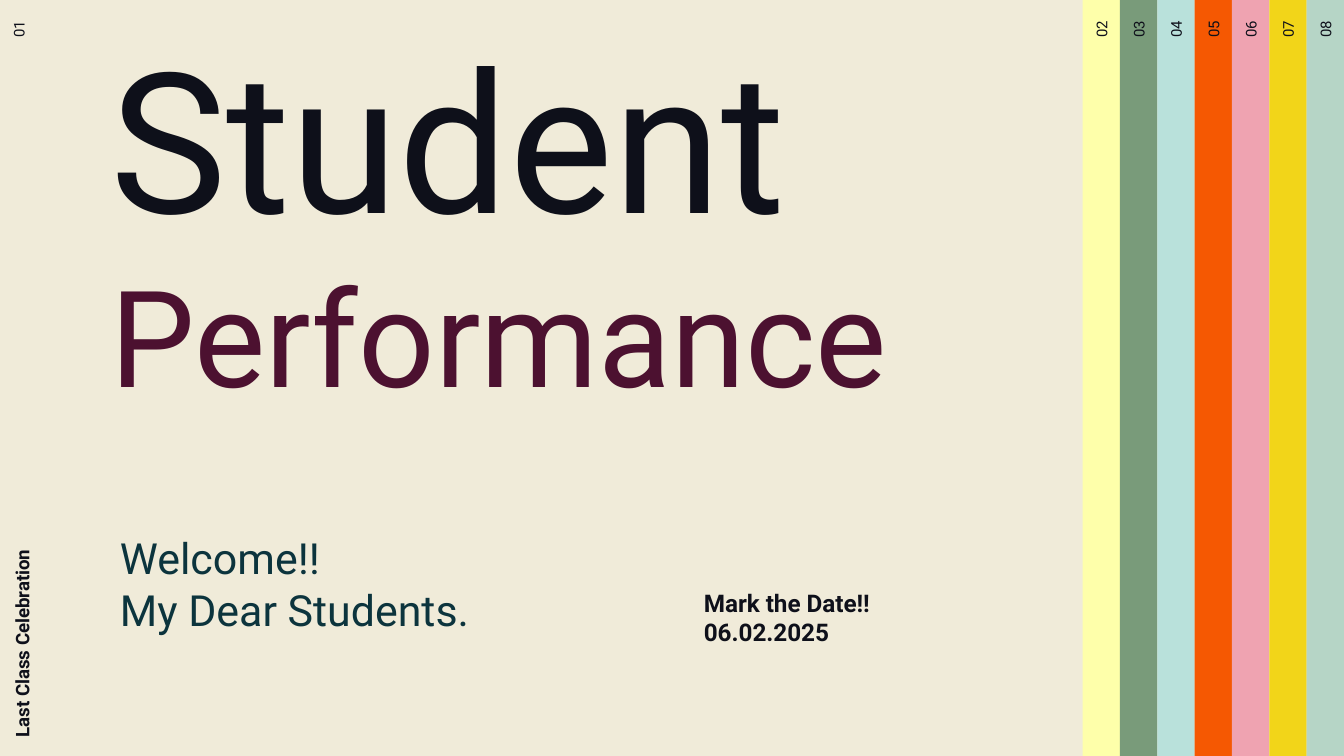
from pptx import Presentation
from pptx.dml.color import RGBColor
from pptx.enum.shapes import MSO_SHAPE as Shape
from pptx.enum.text import MSO_ANCHOR as Anchor, MSO_AUTO_SIZE as AutoSize, PP_ALIGN as Align
from pptx.util import Pt

COLORS = {
    "paper": "F0EBD9", "ink": "0E101A", "wine": "4C1130", "teal": "0C343D",
    "lemon": "FEFFAA", "sage": "799B7A", "aqua": "B9E1DB", "orange": "F55802",
    "pink": "EFA3B1", "gold": "F2D519", "mint": "B6D5C6",
}
STRIPES = ["lemon", "sage", "aqua", "orange", "pink", "gold", "mint"]
WIDTH, HEIGHT = 720, 405
STRIPE_WIDTH = 20


def color(name):
    """Return the named colour."""
    return RGBColor.from_string(COLORS[name])


def place(shape, left, top, width, height):
    """Move and size a shape, in points."""
    shape.left, shape.top = Pt(left), Pt(top)
    shape.width, shape.height = Pt(width), Pt(height)


def write_lines(frame, lines, anchor, align=Align.LEFT, bold=False, inset=7.2):
    """Fill a frame with one paragraph for each (words, size, colour)."""
    frame.word_wrap = True
    frame.auto_size = AutoSize.NONE
    frame.vertical_anchor = anchor
    frame.margin_left = frame.margin_right = Pt(7.2)
    frame.margin_top = frame.margin_bottom = Pt(inset)
    for index, (words, size, ink) in enumerate(lines):
        para = frame.add_paragraph() if index else frame.paragraphs[0]
        para.alignment = align
        para.line_spacing = 1.0
        para.space_before = para.space_after = Pt(0)
        span = para.add_run()
        span.text = words
        span.font.name = "Roboto"
        span.font.size = Pt(size)
        span.font.bold = bold
        span.font.color.rgb = color(ink)


def add_heading(page, left, top, width, height):
    """Place the two-line title."""
    title = page.shapes.title
    place(title, left, top, width, height)
    write_lines(title.text_frame,
                [("Student", 105, "ink"), ("Performance", 72, "wine")], Anchor.BOTTOM)


def add_welcome(page, left, top, width, height):
    """Place the greeting in the subtitle placeholder."""
    welcome = page.placeholders[1]
    place(welcome, left, top, width, height)
    write_lines(welcome.text_frame,
                [("Welcome!!", 23, "teal"), ("My Dear Students.", 23, "teal")], Anchor.MIDDLE)


def add_date(page, left, top, width, height):
    """Place the date note."""
    box = page.shapes.add_textbox(Pt(left), Pt(top), Pt(width), Pt(height))
    write_lines(box.text_frame,
                [("Mark the Date!!", 13, "ink"), ("06.02.2025", 13, "ink")],
                Anchor.TOP, bold=True)


def add_upright(page, left, top, width, height, line, **style):
    """Place text that reads upwards inside the visible box given."""
    box = page.shapes.add_textbox(0, 0, 0, 0)
    place(box, left + (width - height) / 2, top + (height - width) / 2, height, width)
    box.rotation = 270
    write_lines(box.text_frame, [line], inset=5.76, **style)


def add_number(page, left, number):
    """Place a section number at the top of a strip."""
    add_upright(page, left, 4, STRIPE_WIDTH, 70, (f"{number:02d}", 8, "ink"),
                anchor=Anchor.MIDDLE, align=Align.RIGHT)


def add_stripes(page, left, top, height):
    """Place the coloured, numbered strips side by side."""
    for index, name in enumerate(STRIPES):
        x = left + index * STRIPE_WIDTH
        stripe = page.shapes.add_shape(
            Shape.RECTANGLE, Pt(x), Pt(top), Pt(STRIPE_WIDTH), Pt(height))
        stripe.shadow.inherit = False
        stripe.fill.solid()
        stripe.fill.fore_color.rgb = color(name)
        stripe.line.fill.background()
        add_number(page, x, index + 2)


def main():
    """Build the cover slide."""
    deck = Presentation()
    deck.slide_width, deck.slide_height = Pt(WIDTH), Pt(HEIGHT)
    page = deck.slides.add_slide(deck.slide_layouts[0])
    page.background.fill.solid()
    page.background.fill.fore_color.rgb = color("paper")
    add_stripes(page, WIDTH - len(STRIPES) * STRIPE_WIDTH, 0, HEIGHT)
    add_heading(page, 52, 0, 508, 229)
    add_welcome(page, 57, 277, 258, 71)
    add_date(page, 370, 308, 210, 46)
    add_number(page, 0, 1)
    add_upright(page, 0, 277, 36, 125, ("Last Class Celebration", 10, "ink"),
                anchor=Anchor.TOP, bold=True)
    deck.save("out.pptx")


if __name__ == "__main__":
    main()
